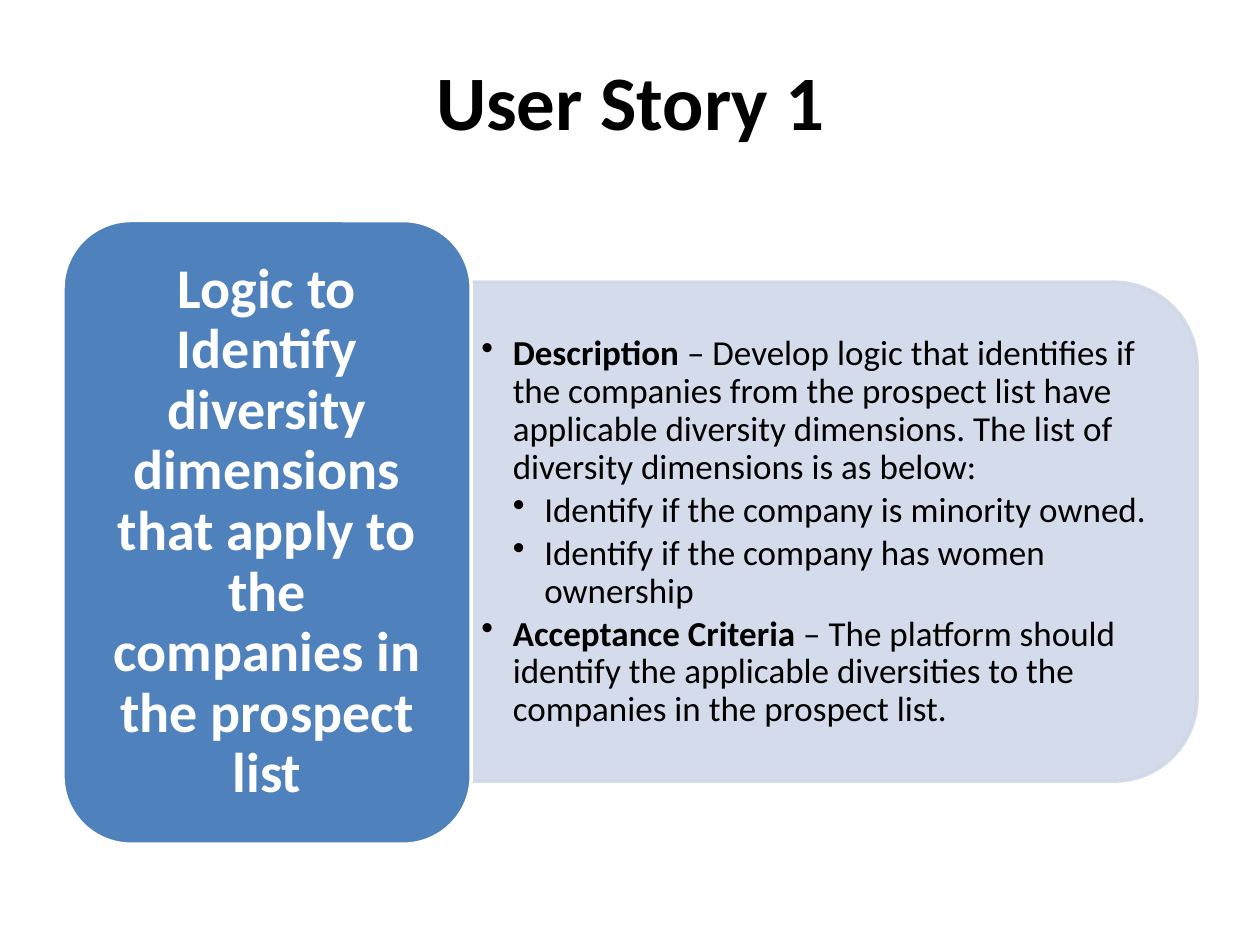
from dataclasses import dataclass

from lxml import etree
from pptx import Presentation, util as u
from pptx.dml.color import RGBColor
from pptx.enum import shapes, text
from pptx.oxml import ns

COLORS = {"ink": "000000", "white": "FFFFFF", "blue": "4F81BD", "pale": "D0D8E8"}
FONT = "Calibri"
CELL = u.Inches(0.1)
COLUMNS, ROWS = 100, 75
INDENT = u.Inches(0.25)
PANEL_OPACITY = 90


@dataclass(frozen=True)
class Area:
    column: float
    row: float
    columns: float
    rows: float

    def turned(self) -> "Area":
        shift = (self.columns - self.rows) / 2
        return Area(self.column + shift, self.row - shift, self.rows, self.columns)

    def lengths(self) -> list[int]:
        return [round(n * CELL) for n in (self.column, self.row, self.columns, self.rows)]


@dataclass(frozen=True)
class Point:
    level: int
    body: str
    lead: str = ""


TITLE = Area(8.3, 2.9, 83.5, 11)
HEADING = Area(5, 17.5, 32.4, 49.5)
PANEL = Area(37.4, 22.4, 57.6, 39.6)
DETAILS = Area(37.4, 24.4, 55.7, 35.7)

POINTS = [
    Point(1, " – Develop logic that identifies if the companies from the prospect list have "
             "applicable diversity dimensions. The list of diversity dimensions is as below:",
          "Description"),
    Point(2, "Identify if the company is minority owned."),
    Point(2, "Identify if the company has women ownership"),
    Point(1, " – The platform should identify the applicable diversities to the companies "
             "in the prospect list.", "Acceptance Criteria"),
]


def color(name: str) -> RGBColor:
    return RGBColor.from_string(COLORS[name])


def set_font(para, size: float, name: str, bold: bool | None = None) -> None:
    para.font.name = FONT
    para.font.size = u.Pt(size)
    para.font.color.rgb = color(name)
    para.font.bold = bold


def set_frame(box, side: float, edge: float) -> None:
    frame = box.text_frame
    frame.word_wrap = True
    frame.vertical_anchor = text.MSO_ANCHOR.MIDDLE
    frame.margin_left = frame.margin_right = u.Inches(side)
    frame.margin_top = frame.margin_bottom = u.Inches(edge)


def add_box(page, kind, area: Area, fill: str, line: str):
    box = page.shapes.add_shape(kind, *area.lengths())
    box.shadow.inherit = False
    box.fill.solid()
    box.fill.fore_color.rgb = color(fill)
    box.line.color.rgb = color(line)
    box.line.width = u.Pt(2)
    return box


def add_centered(box, words: str, size: float, name: str) -> None:
    para = box.text_frame.paragraphs[0]
    para.text = words
    para.alignment = text.PP_ALIGN.CENTER
    para.line_spacing = 0.9
    set_font(para, size, name, True)


def add_panel(page) -> None:
    panel = add_box(page, shapes.MSO_SHAPE.ROUND_2_SAME_RECTANGLE, PANEL.turned(), "pale", "pale")
    panel.rotation = 90
    for tone in panel._element.spPr.iter(ns.qn("a:srgbClr")):
        etree.SubElement(tone, ns.qn("a:alpha"), val=str(PANEL_OPACITY * 1000))


def add_point(para, point: Point) -> None:
    para.level = point.level
    para.line_spacing = 0.9
    para.space_before = u.Pt(0)
    para.space_after = u.Pt(3)
    set_font(para, 20, "ink")
    layout = para._p.get_or_add_pPr()
    layout.set("marL", str(point.level * INDENT))
    layout.set("indent", str(-INDENT))
    bullet = etree.Element(ns.qn("a:buChar"), char="•")
    layout.find(ns.qn("a:defRPr")).addprevious(bullet)
    if point.lead:
        span = para.add_run()
        span.text = point.lead
        span.font.bold = True
    para.add_run().text = point.body


def add_details(page) -> None:
    box = page.shapes.add_textbox(*DETAILS.lengths())
    set_frame(box, 0.08, 0.04)
    frame = box.text_frame
    for index, point in enumerate(POINTS):
        add_point(frame.add_paragraph() if index else frame.paragraphs[0], point)


def main() -> None:
    deck = Presentation()
    deck.slide_width, deck.slide_height = COLUMNS * CELL, ROWS * CELL
    page = deck.slides.add_slide(deck.slide_layouts[6])

    title = page.shapes.add_textbox(*TITLE.lengths())
    set_frame(title, 0.1, 0.05)
    add_centered(title, "User Story 1", 44, "ink")

    add_panel(page)
    add_details(page)

    heading = add_box(page, shapes.MSO_SHAPE.ROUNDED_RECTANGLE, HEADING, "blue", "white")
    set_frame(heading, 0.13, 0.07)
    add_centered(heading, "Logic to Identify diversity dimensions that apply to the "
                          "companies in the prospect list", 32, "white")

    deck.save("out.pptx")


if __name__ == "__main__":
    main()
